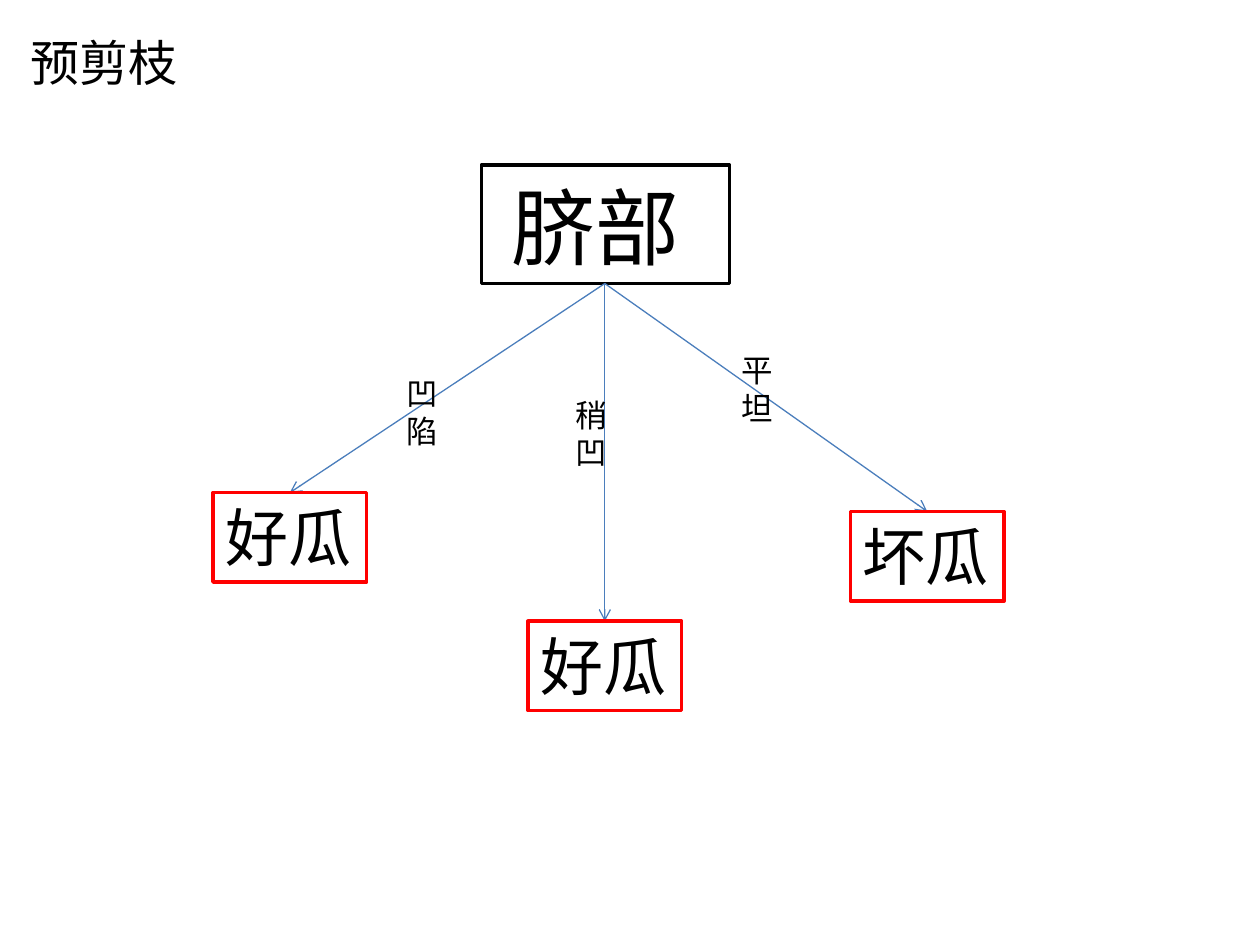
import pptx
import pptx.dml.color
import pptx.enum.shapes
import pptx.enum.text
import pptx.oxml
import pptx.oxml.ns
import pptx.util

COLS, ROWS = 100, 75
CELL = pptx.util.Inches(0.1)
LEAF_W, LEAF_H = 12.2, 7.1
LABEL_W, LABEL_H = 6.7, 7.1
ROOT = (38.2, 13.1, 19.7, 9.4)
FORK = (48, ROOT[1] + ROOT[3])

# leaf text, leaf left and top, branch label, label left and top
BRANCHES = [
    ("好瓜", 16.9, 39.1, "凹陷", 31.3, 29.2),
    ("好瓜", 41.9, 49.3, "稍凹", 44.7, 30.9),
    ("坏瓜", 67.5, 40.6, "平坦", 57.9, 27.4),
]


def grid(*cells):
    """Turn columns or rows into lengths."""
    return [round(c * CELL) for c in cells]


def color(hex_text):
    return pptx.dml.color.RGBColor.from_string(hex_text)


def write(p, text, size=18, font="Calibri", fill="000000"):
    r = p.add_run()
    r.text = text
    r.font.size = pptx.util.Pt(size)
    r.font.name = font
    r.font.color.rgb = color(fill)


def prepare(tf, wrap=True, inset=None):
    """Align text top left and return the first paragraph."""
    tf.word_wrap = wrap
    tf.vertical_anchor = pptx.enum.text.MSO_ANCHOR.TOP
    if inset is not None:
        tf.margin_left = tf.margin_top = inset
        tf.margin_right = tf.margin_bottom = inset
    p = tf.paragraphs[0]
    p.alignment = pptx.enum.text.PP_ALIGN.LEFT
    return p


def add_text(s, box, **frame):
    return prepare(s.shapes.add_textbox(*grid(*box)).text_frame, **frame)


def add_frame(s, box, line):
    """Add an outlined rectangle without fill."""
    sp = s.shapes.add_shape(pptx.enum.shapes.MSO_SHAPE.RECTANGLE, *grid(*box))
    sp.shadow.inherit = False
    sp.fill.background()
    sp.line.color.rgb = color(line)
    sp.line.width = pptx.util.Pt(2)
    return prepare(sp.text_frame)


def add_arrow(s, start, end):
    straight = pptx.enum.shapes.MSO_CONNECTOR.STRAIGHT
    sp = s.shapes.add_connector(straight, *grid(*start, *end))
    sp.line.color.rgb = color("4B7EBC")
    sp.line.width = pptx.util.Pt(0.75)
    ns = pptx.oxml.ns.nsdecls("a")
    ln = sp.line._get_or_add_ln()
    ln.append(pptx.oxml.parse_xml(f'<a:tailEnd {ns} type="arrow"/>'))
    ln.getparent().append(pptx.oxml.parse_xml(f"<a:effectLst {ns}/>"))


def main():
    prs = pptx.Presentation()
    prs.slide_width, prs.slide_height = grid(COLS, ROWS)
    s = prs.slides.add_slide(prs.slide_layouts[6])

    p = add_text(s, (2.4, 3.5, 11.8, 3.8), wrap=False, inset=0)
    p.line_spacing = pptx.util.Pt(26.9)
    write(p, "预剪枝", size=28, font="Noto Sans CJK SC")

    add_frame(s, ROOT, "000000")
    for _, left, top, *_ in BRANCHES:
        add_arrow(s, FORK, (left + LEAF_W / 2, top))

    p = add_text(s, (39.6, 13.4, 21.7, 9.1))
    write(p, "脐部", size=48)
    write(p, "　")

    for leaf, left, top, label, label_left, label_top in BRANCHES:
        write(add_frame(s, (left, top, LEAF_W, LEAF_H), "FF0000"), leaf, size=36)
        write(add_text(s, (label_left, label_top, LABEL_W, LABEL_H)), label)

    prs.save("out.pptx")


if __name__ == "__main__":
    main()
